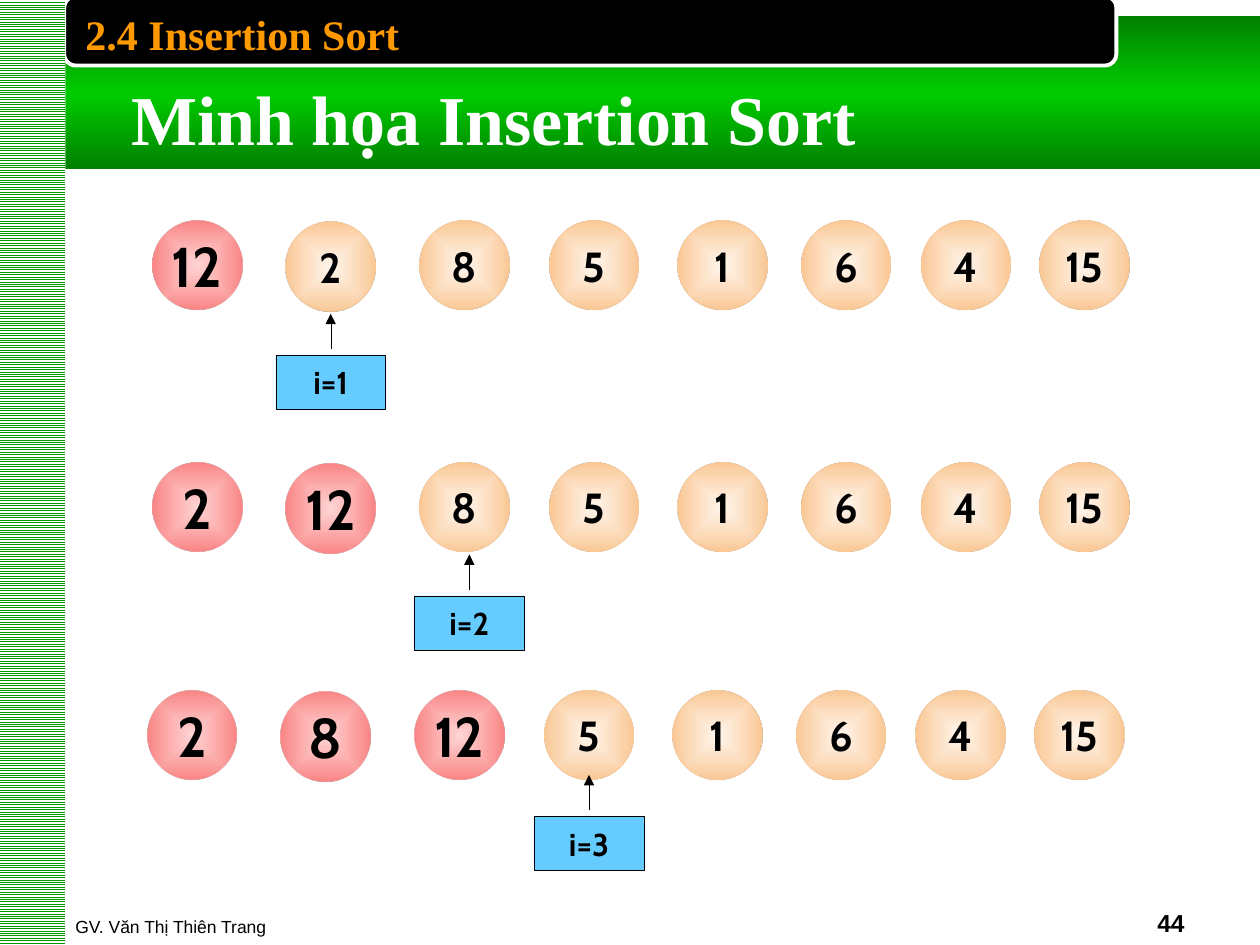
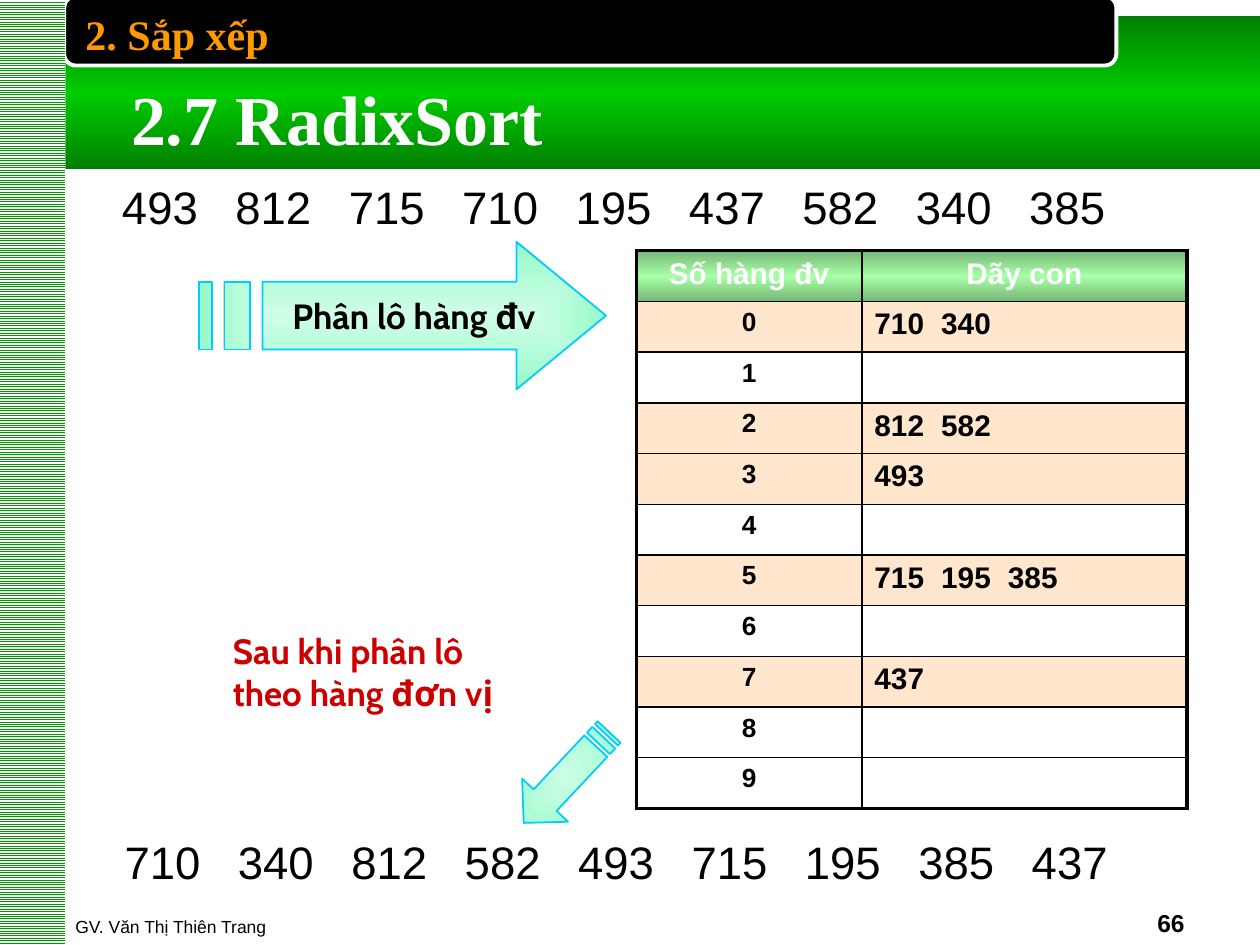
"""Build two slides on insertion sort and radix sort."""
from dataclasses import dataclass

import lxml.etree
import pptx
import pptx.dml.color
import pptx.enum.dml
import pptx.enum.shapes
import pptx.enum.text
import pptx.oxml
import pptx.oxml.ns
import pptx.util

Inches = pptx.util.Inches
RGBColor = pptx.dml.color.RGBColor
SHAPE = pptx.enum.shapes.MSO_SHAPE
ALIGN = pptx.enum.text.PP_ALIGN
ANCHOR = pptx.enum.text.MSO_ANCHOR
qn = pptx.oxml.ns.qn
NS = pptx.oxml.ns.nsdecls("a")

BLACK = RGBColor(0x00, 0x00, 0x00)
WHITE = RGBColor(0xFF, 0xFF, 0xFF)
GREEN = RGBColor(0x00, 0x99, 0x00)
DARK = RGBColor(0x00, 0x80, 0x00)
BRIGHT = RGBColor(0x00, 0xCC, 0x00)
ORANGE = RGBColor(0xFF, 0x99, 0x00)
RED = RGBColor(0xCC, 0x00, 0x00)
ROSE = RGBColor(0xFF, 0x89, 0x89)
ROSE_RIM = RGBColor(0xFA, 0x86, 0x86)
PEACH = RGBColor(0xFF, 0xCC, 0x99)
PEACH_RIM = RGBColor(0xFA, 0xC8, 0x96)
PEACH_LINE = RGBColor(0xFF, 0xC4, 0x89)
SKY = RGBColor(0x66, 0xCC, 0xFF)
CYAN = RGBColor(0x00, 0xCC, 0xFF)
MINT = RGBColor(0x99, 0xFF, 0xCC)
MINT_RIM = RGBColor(0x96, 0xFA, 0xC8)
MOSS = RGBColor(0x77, 0xB6, 0x77)
LIME = RGBColor(0xA7, 0xFF, 0xA7)
CREAM = RGBColor(0xFF, 0xE6, 0xCD)


@dataclass(frozen=True)
class Style:
    """Font of a run."""
    face: str
    size: int
    color: RGBColor = BLACK
    bold: bool = True


@dataclass(frozen=True)
class Box:
    """Place and size in inches."""
    left: float
    top: float
    width: float
    height: float

    def sides(self) -> tuple:
        """Give the four lengths for python-pptx."""
        return tuple(map(Inches, (self.left, self.top, self.width, self.height)))


@dataclass(frozen=True)
class Step:
    """One pass of the insertion sort."""
    left: float
    top: float
    values: tuple
    done: int
    mark: Box


@dataclass(frozen=True)
class Arrow:
    """Striped arrow; head and inset are shares of its width and height."""
    box: Box
    head: float
    inset: float
    clear: int
    turn: float = 0


TITLE = Style("Times New Roman", 40, WHITE)
TOPIC = Style("Times New Roman", 24, ORANGE)
FOOT = Style("Arial", 10, bold=False)
PAGE = Style("Arial", 14)
BALL = Style("Cabin", 24)
BALL_DONE = Style("Cabin", 32)
MARK = Style("Cabin", 18)
LABEL = Style("Cabin", 20)
NOTE = Style("Cabin", 20, RED)
LIST = Style("Arial", 26, bold=False)
HEAD = Style("Arial", 17, WHITE)
DIGIT = Style("Arial", 15)
GROUP = Style("Arial", 17)

BALL_SIZE = 0.71
BALL_GAPS = (0, 1.06, 2.12, 3.15, 4.17, 5.15, 6.1, 7.04)
STEPS = (
    Step(1.21, 1.75, (12, 2, 8, 5, 1, 6, 4, 15), 1, Box(2.19, 2.82, 0.87, 0.43)),
    Step(1.21, 3.67, (2, 12, 8, 5, 1, 6, 4, 15), 2, Box(3.29, 4.73, 0.87, 0.43)),
    Step(1.17, 5.48, (2, 8, 12, 5, 1, 6, 4, 15), 3, Box(4.24, 6.48, 0.87, 0.43)),
)
GROUPS = ((710, 340), (), (812, 582), (493,), (), (715, 195, 385), (), (437,), (), ())
BEFORE = (493, 812, 715, 710, 195, 437, 582, 340, 385)
SPLIT = Arrow(Box(1.58, 1.92, 3.23, 1.17), 0.22, 0.27, 44)
MERGE = Arrow(Box(4, 5.92, 0.99, 0.5), 0.25, 0.25, 47, 133.2)


def write(frame, lines, style: Style, align=ALIGN.LEFT, anchor=ANCHOR.TOP,
          wrap: bool = True, tab: float = 0) -> None:
    """Fill a text frame, one paragraph a line, with even tab stops if asked."""
    frame.word_wrap = wrap
    frame.vertical_anchor = anchor
    for at, line in enumerate(lines):
        par = frame.add_paragraph() if at else frame.paragraphs[0]
        par.alignment = align
        if tab:
            stops = lxml.etree.SubElement(par._p.get_or_add_pPr(), qn("a:tabLst"))
            for stop in range(1, line.count("\t") + 1):
                lxml.etree.SubElement(stops, qn("a:tab"),
                                      pos=str(Inches(tab * stop)), algn="l")
        run = par.add_run()
        run.text = line
        run.font.name = style.face
        run.font.size = pptx.util.Pt(style.size)
        run.font.bold = style.bold
        run.font.color.rgb = style.color


def add_text(slide, box: Box, lines, style: Style, **form) -> None:
    """Add a text box."""
    write(slide.shapes.add_textbox(*box.sides()).text_frame, lines, style, **form)


def blend(fill, props, stops, way: str) -> None:
    """Set a gradient from (place, colour, opacity) stops in percent."""
    fill.background()
    marks = "".join(
        f'<a:gs pos="{place * 1000}"><a:srgbClr val="{color}">'
        f'<a:alpha val="{clear * 1000}"/></a:srgbClr></a:gs>'
        for place, color, clear in stops)
    grad = pptx.oxml.parse_xml(
        f'<a:gradFill {NS} rotWithShape="1"><a:gsLst>{marks}</a:gsLst>{way}</a:gradFill>')
    props.replace(props.find(qn("a:noFill")), grad)


def blend_down(fill, props, edge: RGBColor, core: RGBColor) -> None:
    """Blend from edge to core and back, top to bottom."""
    blend(fill, props, ((0, edge, 100), (50, core, 100), (100, edge, 100)),
          '<a:lin ang="5400000" scaled="1"/>')


def blend_out(shape, core: RGBColor, clear: int, rim: RGBColor, kind: str) -> None:
    """Blend from a clear core out to the rim."""
    blend(shape.fill, shape.element.spPr, ((0, core, clear), (100, rim, 100)),
          f'<a:path path="{kind}"><a:fillToRect l="50000" t="50000" '
          'r="50000" b="50000"/></a:path>')


def edge(shape, color=None, width: float = 0.25) -> None:
    """Drop the shadow and set the outline."""
    shape.shadow.inherit = False
    if color is None:
        shape.line.fill.background()
    else:
        shape.line.color.rgb = color
        shape.line.width = pptx.util.Pt(width)


def add_shape(slide, kind, box: Box, color=None, width: float = 0.25):
    """Add a preset shape with its outline."""
    shape = slide.shapes.add_shape(kind, *box.sides())
    edge(shape, color, width)
    return shape


def add_slide(deck, topic: str, title: str, width: float, page: str):
    """Add a slide with its bands, title, topic and footer."""
    slide = deck.slides.add_slide(deck.slide_layouts[5])
    band = add_shape(slide, SHAPE.RECTANGLE, Box(0, 0.13, 10.01, 1.21))
    blend_down(band.fill, band.element.spPr, DARK, BRIGHT)
    bar = add_shape(slide, SHAPE.ROUNDED_RECTANGLE, Box(0.51, -0.03, 8.35, 0.55),
                    WHITE, 2.25)
    bar.fill.solid()
    bar.fill.fore_color.rgb = BLACK
    strip = add_shape(slide, SHAPE.RECTANGLE, Box(-0.01, 0, 0.53, 7.5))
    strip.fill.patterned()
    strip.fill.pattern = pptx.enum.dml.MSO_PATTERN.LIGHT_HORIZONTAL
    strip.fill.fore_color.rgb = GREEN
    strip.fill.back_color.rgb = WHITE
    name = slide.shapes.title
    name.element.getparent().append(name.element)
    name.left, name.top, name.width, name.height = Box(0.94, 0.55, width, 0.77).sides()
    write(name.text_frame, [title], TITLE, wrap=False)
    name.text_frame.auto_size = pptx.enum.text.MSO_AUTO_SIZE.SHAPE_TO_FIT_TEXT
    add_text(slide, Box(0.58, 0.02, 7.67, 0.5), [topic], TOPIC)
    add_text(slide, Box(0.5, 6.99, 6.08, 0.5), ["GV. Văn Thị Thiên Trang"], FOOT,
             anchor=ANCHOR.BOTTOM)
    add_text(slide, Box(7.17, 6.99, 2.33, 0.5), [page], PAGE,
             align=ALIGN.RIGHT, anchor=ANCHOR.BOTTOM)
    return slide


def add_step(slide, step: Step) -> None:
    """Draw the balls of a pass and the mark below the next one."""
    for at, (gap, value) in enumerate(zip(BALL_GAPS, step.values)):
        done = at < step.done
        drop = 0.01 if at == 1 else 0
        box = Box(step.left + gap, step.top + drop, BALL_SIZE, BALL_SIZE)
        ball = add_shape(slide, SHAPE.OVAL, box, None if done else PEACH_LINE)
        blend_out(ball, *((ROSE, 35, ROSE_RIM) if done else (PEACH, 17, PEACH_RIM)),
                  "shape")
        write(ball.text_frame, [str(value)], BALL_DONE if done else BALL,
              ALIGN.CENTER, ANCHOR.MIDDLE, False)
    mark = add_shape(slide, SHAPE.RECTANGLE, step.mark, BLACK)
    mark.fill.solid()
    mark.fill.fore_color.rgb = SKY
    write(mark.text_frame, [f"i={step.done}"], MARK, ALIGN.CENTER, ANCHOR.MIDDLE, False)
    mid = Inches(step.mark.left + step.mark.width / 2)
    line = slide.shapes.add_connector(
        pptx.enum.shapes.MSO_CONNECTOR.STRAIGHT, mid, Inches(step.mark.top - 0.05),
        mid, Inches(step.mark.top - 0.33))
    line.line.color.rgb = BLACK
    line.line.width = pptx.util.Pt(0.25)
    lxml.etree.SubElement(line.line._get_or_add_ln(), qn("a:tailEnd"), type="triangle")
    lxml.etree.SubElement(line.element.spPr, qn("a:effectLst"))


def add_arrow(slide, arrow: Arrow):
    """Draw a striped arrow as one outline of three parts."""
    box, low, neck = arrow.box, 1 - arrow.inset, 1 - arrow.head
    top = arrow.inset
    parts = [[(neck, 0), (neck, top), (5 / 32, top), (5 / 32, low),
              (neck, low), (neck, 1), (1, 0.5)]]
    for start, end in ((2 / 32, 4 / 32), (0, 1 / 32)):
        parts.append([(start, top), (start, low), (end, low), (end, top)])
    build = None
    for part in parts:
        spots = [(Inches(box.left + x * box.width), Inches(box.top + y * box.height))
                 for x, y in part]
        if build is None:
            build = slide.shapes.build_freeform(*spots[0])
        else:
            build.move_to(*spots[0])
        build.add_line_segments(spots[1:], close=True)
    shape = build.convert_to_shape()
    shape.rotation = arrow.turn
    edge(shape, CYAN, 1)
    blend_out(shape, MINT, arrow.clear, MINT_RIM, "rect")
    return shape


def add_rules(props, row: int, col: int, last: int) -> None:
    """Give a cell its borders, thick on the outer rim."""
    rims = {"L": col == 0, "R": col == 1, "T": row == 0, "B": row == last}
    for side, outer in rims.items():
        width = pptx.util.Pt(2.25 if outer else 1)
        props.append(pptx.oxml.parse_xml(
            f'<a:ln{side} {NS} w="{width}"><a:solidFill><a:srgbClr val="{BLACK}"/>'
            f'</a:solidFill></a:ln{side}>'))


def add_groups(slide) -> None:
    """Draw the table of numbers grouped by their last digit."""
    rows = [("Số hàng đv", "Dãy con")]
    rows += [(str(at), "\t".join(map(str, group))) for at, group in enumerate(GROUPS)]
    table = slide.shapes.add_table(len(rows), 2, *Box(5.05, 1.99, 4.37, 4.43).sides()).table
    table.first_row = table.horz_banding = False
    table.columns[0].width, table.columns[1].width = Inches(1.79), Inches(2.58)
    for row, texts in enumerate(rows):
        for col, text in enumerate(texts):
            cell = table.cell(row, col)
            cell.margin_bottom = Inches(0.02)
            props = cell._tc.get_or_add_tcPr()
            add_rules(props, row, col, len(rows) - 1)
            if row == 0:
                blend_down(cell.fill, props, MOSS, LIME)
            else:
                cell.fill.solid()
                cell.fill.fore_color.rgb = CREAM if texts[1] else WHITE
            if text:
                style = HEAD if row == 0 else (DIGIT, GROUP)[col]
                align = ALIGN.LEFT if row and col else ALIGN.CENTER
                write(cell.text_frame, [text], style, align,
                      tab=0.53 if "\t" in text else 0)


def main() -> None:
    """Build and save the deck."""
    deck = pptx.Presentation()
    deck.slide_width, deck.slide_height = Inches(10), Inches(7.5)

    slide = add_slide(deck, "2.4 Insertion Sort", "Minh họa Insertion Sort", 5.96, "44")
    for step in STEPS:
        add_step(slide, step)

    slide = add_slide(deck, "2. Sắp xếp", "2.7 RadixSort", 3.47, "66")
    after = [value for group in GROUPS for value in group]
    for left, top, values in ((0.87, 1.37, BEFORE), (0.89, 6.57, after)):
        add_text(slide, Box(left, top, 8.5, 0.52), ["\t".join(map(str, values))],
                 LIST, tab=0.9)
    add_groups(slide)
    split = add_arrow(slide, SPLIT)
    split.text_frame.margin_left = Inches(0.28)
    write(split.text_frame, ["Phân lô hàng đv"], LABEL, ALIGN.CENTER, ANCHOR.MIDDLE, False)
    add_arrow(slide, MERGE)
    add_text(slide, Box(1.75, 4.95, 2.67, 0.77),
             ["Sau khi phân lô", "theo hàng đơn vị"], NOTE)
    deck.save("out.pptx")


if __name__ == "__main__":
    main()
